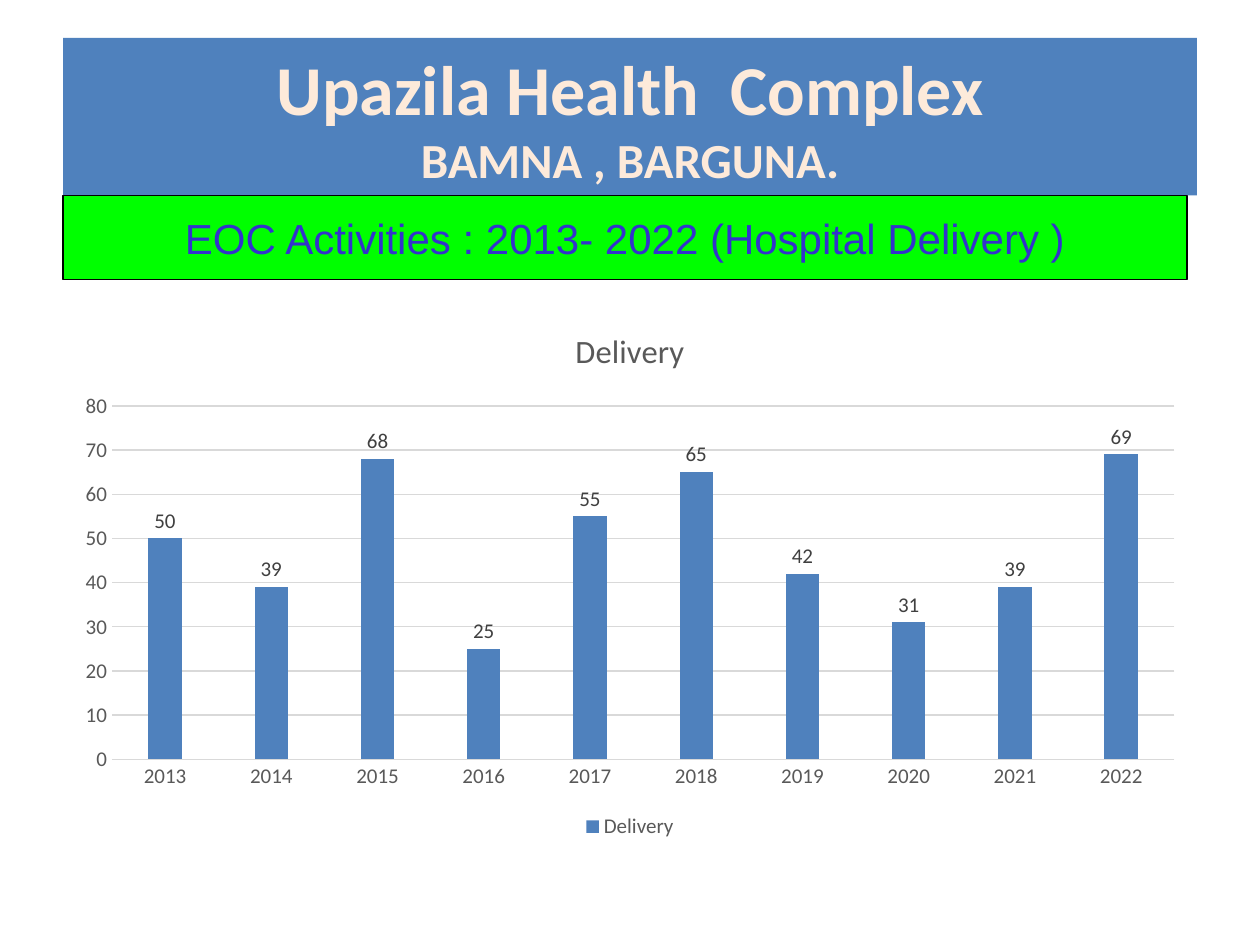
from dataclasses import dataclass

from lxml import etree
from pptx import Presentation
from pptx import util as u
from pptx.chart.data import CategoryChartData
from pptx.dml.color import RGBColor
from pptx.enum import chart as charts, shapes, text
from pptx.oxml.ns import qn


@dataclass(frozen=True)
class Theme:
    blue: str = "4F81BD"
    cream: str = "FDEADA"
    green: str = "00FF00"
    indigo: str = "3333CC"
    black: str = "000000"
    grey: str = "595959"
    dark_grey: str = "404040"
    rule: str = "D9D9D9"
    heading_font: str = "Calibri"
    banner_font: str = "Arial"
    title_size: float = 40
    place_size: float = 28
    banner_size: float = 24
    chart_title_size: float = 18.6
    chart_size: float = 12
    line_width: float = 0.75


class SlideBuilder:
    def __init__(self, page, theme):
        self.page = page
        self.theme = theme

    def style_font(self, font, name, size, color, bold=False):
        font.name = name
        font.size = u.Pt(size)
        font.bold = bold
        font.color.rgb = RGBColor.from_string(color)

    def style_fill(self, fill, color):
        fill.solid()
        fill.fore_color.rgb = RGBColor.from_string(color)

    def style_line(self, line, color):
        line.color.rgb = RGBColor.from_string(color)
        line.width = u.Pt(self.theme.line_width)

    def center(self, frame):
        frame.word_wrap = True
        frame.auto_size = text.MSO_AUTO_SIZE.NONE
        frame.vertical_anchor = text.MSO_ANCHOR.MIDDLE
        frame.paragraphs[0].alignment = text.PP_ALIGN.CENTER

    def title(self, lines, sizes, left, top, width, height):
        theme = self.theme
        box = self.page.shapes.title
        box.left, box.top, box.width, box.height = map(u.Pt, (left, top, width, height))
        self.style_fill(box.fill, theme.blue)
        para = box.text_frame.paragraphs[0]
        para.text = "\v".join(lines)
        self.center(box.text_frame)
        for span, size in zip(para.runs, sizes):
            self.style_font(span.font, theme.heading_font, size, theme.cream, True)
        # A line break takes the size of the line it closes
        for line_break, size in zip(para._p.findall(qn("a:br")), sizes):
            etree.SubElement(line_break, qn("a:rPr"), sz=str(size * 100))

    def banner(self, words, left, top, width, height):
        theme = self.theme
        box = self.page.shapes.add_shape(
            shapes.MSO_SHAPE.RECTANGLE, *map(u.Pt, (left, top, width, height)))
        box.shadow.inherit = False
        self.style_fill(box.fill, theme.green)
        self.style_line(box.line, theme.black)
        box.text_frame.text = words
        self.center(box.text_frame)
        span = box.text_frame.paragraphs[0].runs[0]
        self.style_font(span.font, theme.banner_font, theme.banner_size, theme.indigo)

    def column_chart(self, name, values, left, top, width, height):
        theme = self.theme
        data = CategoryChartData()
        data.categories = list(values)
        data.add_series(name, list(values.values()))
        chart = self.page.shapes.add_chart(
            charts.XL_CHART_TYPE.COLUMN_CLUSTERED,
            *map(u.Pt, (left, top, width, height)), data).chart
        self.style_font(chart.font, theme.heading_font, theme.chart_size, theme.grey)

        # Title and legend
        chart.has_title = True
        frame = chart.chart_title.text_frame
        frame.text = name
        self.style_font(frame.paragraphs[0].runs[0].font, theme.heading_font,
                        theme.chart_title_size, theme.grey)
        chart.has_legend = True
        chart.legend.position = charts.XL_LEGEND_POSITION.BOTTOM
        chart.legend.include_in_layout = False

        # Axes
        for axis in (chart.category_axis, chart.value_axis):
            axis.major_tick_mark = axis.minor_tick_mark = charts.XL_TICK_MARK.NONE
        self.style_line(chart.category_axis.format.line, theme.rule)
        chart.value_axis.format.line.fill.background()
        self.style_line(chart.value_axis.major_gridlines.format.line, theme.rule)

        # Columns and their values
        plot = chart.plots[0]
        plot.vary_by_categories = False
        plot.gap_width = 219
        plot.overlap = -27
        series = plot.series[0]
        self.style_fill(series.format.fill, theme.blue)
        labels = series.data_labels
        labels.show_value = True
        labels.position = charts.XL_LABEL_POSITION.OUTSIDE_END
        self.style_font(labels.font, theme.heading_font, theme.chart_size, theme.dark_grey)


def main():
    deck = Presentation()
    deck.slide_width, deck.slide_height = u.Pt(720), u.Pt(540)
    page = deck.slides.add_slide(deck.slide_layouts[5])
    theme = Theme()
    builder = SlideBuilder(page, theme)
    left, width = 36, 648

    # Heading
    builder.title(["Upazila Health  Complex", "BAMNA , BARGUNA."],
                  [theme.title_size, theme.place_size], left, 21.6, width, 90)
    builder.banner("EOC Activities : 2013- 2022 (Hospital Delivery )",
                   left, 111.6, 642.24, 48.24)

    # Deliveries per year
    counts = [50, 39, 68, 25, 55, 65, 42, 31, 39, 69]
    deliveries = {str(year): count for year, count in enumerate(counts, 2013)}
    builder.column_chart("Delivery", deliveries, left, 174.24, width, 308.16)

    deck.save("out.pptx")


if __name__ == "__main__":
    main()
